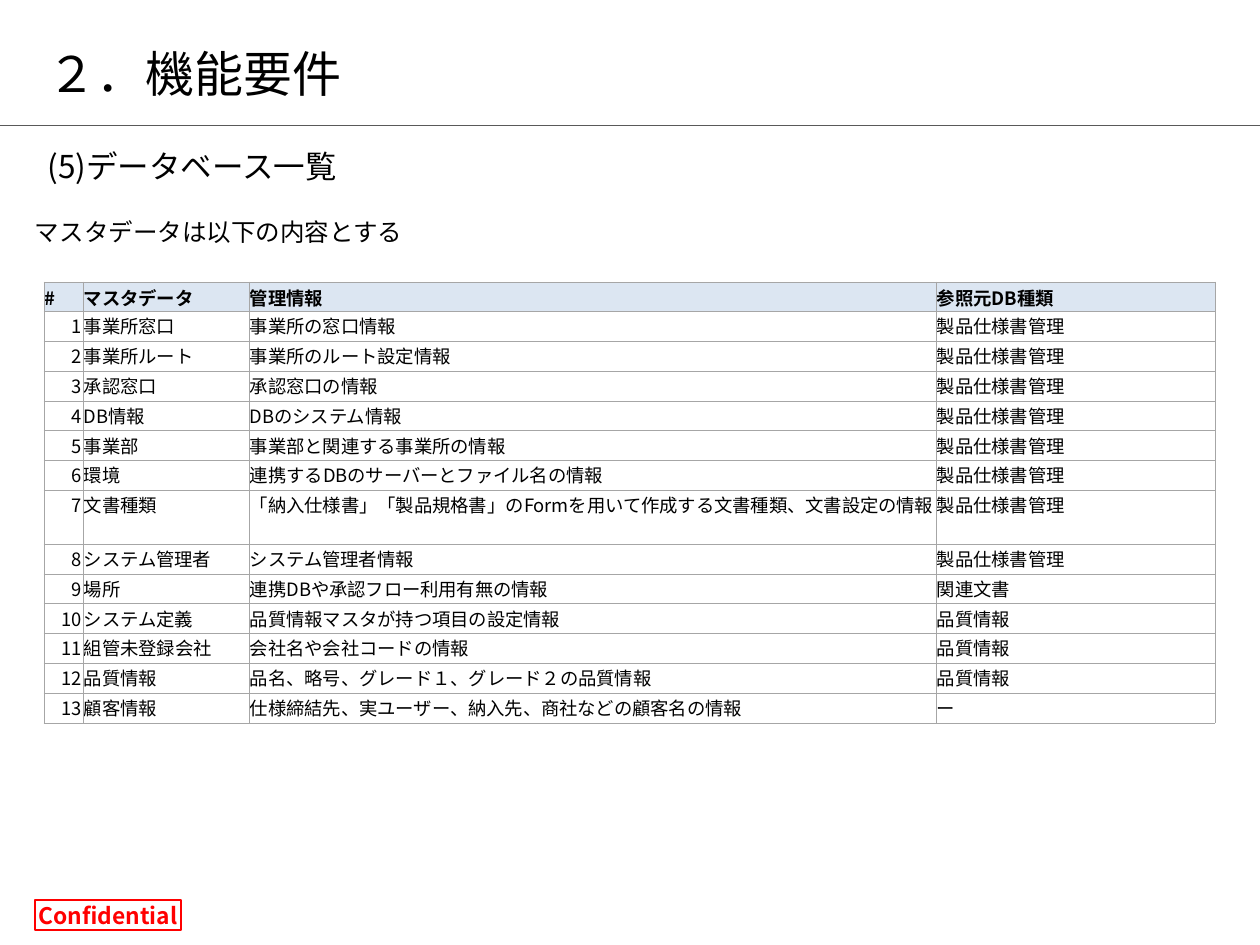
"""Build the database list slide."""
from lxml.etree import SubElement
from pptx import Presentation
from pptx.dml.color import RGBColor
from pptx.enum.shapes import MSO_CONNECTOR, MSO_SHAPE
from pptx.enum.text import MSO_ANCHOR as ANCHOR, PP_ALIGN as ALIGN
from pptx.oxml.ns import qn
from pptx.util import Pt

PX = 914400 // 126
FONT = "Noto Sans CJK JP"
BLACK = RGBColor(0x00, 0x00, 0x00)
RED = RGBColor(0xFF, 0x00, 0x00)
DARK = RGBColor(0x59, 0x59, 0x59)
PALE = RGBColor(0xDC, 0xE6, 0xF2)
GREY = RGBColor(0xA6, 0xA6, 0xA6)

TITLE = "２．機能要件"
SUBTITLE = "(5)データベース一覧"
LEAD = "マスタデータは以下の内容とする"
SPEC_DB, QUALITY = "製品仕様書管理", "品質情報"
HEADER = ("#", "マスタデータ", "管理情報", "参照元DB種類")
MASTERS = [
    ("事業所窓口", "事業所の窓口情報", SPEC_DB),
    ("事業所ルート", "事業所のルート設定情報", SPEC_DB),
    ("承認窓口", "承認窓口の情報", SPEC_DB),
    ("DB情報", "DBのシステム情報", SPEC_DB),
    ("事業部", "事業部と関連する事業所の情報", SPEC_DB),
    ("環境", "連携するDBのサーバーとファイル名の情報", SPEC_DB),
    ("文書種類", "「納入仕様書」「製品規格書」のFormを用いて作成する文書種類、文書設定の情報", SPEC_DB),
    ("システム管理者", "システム管理者情報", SPEC_DB),
    ("場所", "連携DBや承認フロー利用有無の情報", "関連文書"),
    ("システム定義", "品質情報マスタが持つ項目の設定情報", QUALITY),
    ("組管未登録会社", "会社名や会社コードの情報", QUALITY),
    (QUALITY, "品名、略号、グレード１、グレード２の品質情報", QUALITY),
    ("顧客情報", "仕様締結先、実ユーザー、納入先、商社などの顧客名の情報", "ー"),
]
COLUMNS = (39, 166, 687, 279)
WRAPPED_ROW, WRAPPED_HEIGHT = 7, 54
SINGLE_ROWS_HEIGHT = 387


def box(*px):
    return [v * PX for v in px]


def write(tf, text, size, color=BLACK, bold=False, align=ALIGN.LEFT, spacing=None):
    p = tf.paragraphs[0]
    p.alignment = align
    p.line_spacing = spacing
    r = p.add_run()
    r.text = text
    r.font.size, r.font.bold, r.font.name = Pt(size), bold, FONT
    r.font.color.rgb = color
    SubElement(r.font._element, qn("a:ea"), typeface=FONT)


def set_insets(target, left, top, right, bottom):
    target.margin_left, target.margin_top = left * PX, top * PX
    target.margin_right, target.margin_bottom = right * PX, bottom * PX


def add_text(s, place, text, size, anchor=ANCHOR.TOP, inset=None, **fmt):
    tf = s.shapes.add_textbox(*box(*place)).text_frame
    tf.word_wrap, tf.vertical_anchor = True, anchor
    if inset is not None:
        set_insets(tf, *[inset] * 4)
    write(tf, text, size, **fmt)


def add_borders(cell):
    tcPr = cell._tc.get_or_add_tcPr()
    for i, side in enumerate(("lnL", "lnR", "lnT", "lnB")):
        ln = tcPr.makeelement(qn(f"a:{side}"), {"w": str(Pt(0.5))})
        fill = SubElement(ln, qn("a:solidFill"))
        SubElement(fill, qn("a:srgbClr"), val=str(GREY))
        tcPr.insert(i, ln)


def add_master_table(s):
    rows = [HEADER] + [(str(n), *row) for n, row in enumerate(MASTERS, 1)]
    place = box(44, 282, sum(COLUMNS), SINGLE_ROWS_HEIGHT + WRAPPED_HEIGHT)
    table = s.shapes.add_table(len(rows), len(COLUMNS), *place).table
    single = SINGLE_ROWS_HEIGHT * PX // (len(rows) - 1)
    for column, width in zip(table.columns, COLUMNS):
        column.width = width * PX
    for i, row in enumerate(rows):
        table.rows[i].height = WRAPPED_HEIGHT * PX if i == WRAPPED_ROW else single
        for j, text in enumerate(row):
            cell = table.cell(i, j)
            set_insets(cell, 1, 1, 1, 0)
            if i == 0:
                cell.fill.solid()
                cell.fill.fore_color.rgb = PALE
                cell.vertical_anchor = ANCHOR.MIDDLE
            else:
                cell.fill.background()
            add_borders(cell)
            align = ALIGN.RIGHT if i and j == 0 else ALIGN.LEFT
            write(cell.text_frame, text, 10.5, bold=i == 0, align=align)


def add_rule(s):
    rule = s.shapes.add_connector(MSO_CONNECTOR.STRAIGHT, *box(0, 125, 1260, 125))
    rule.line.color.rgb, rule.line.width = DARK, Pt(0.5)
    SubElement(rule._element.spPr, qn("a:effectLst"))


def add_stamp(s):
    sp = s.shapes.add_shape(MSO_SHAPE.RECTANGLE, *box(35, 900, 146, 30))
    sp.shadow.inherit = False
    sp.fill.background()
    sp.line.color.rgb, sp.line.width = RED, Pt(0.75)
    tf = sp.text_frame
    tf.word_wrap, tf.vertical_anchor = False, ANCHOR.MIDDLE
    set_insets(tf, 5, 5, 5, 5)
    write(tf, "Confidential", 13, color=RED, bold=True, align=ALIGN.CENTER)


def main():
    prs = Presentation()
    prs.slide_width, prs.slide_height = box(1260, 945)
    s = prs.slides.add_slide(prs.slide_layouts[6])
    add_rule(s)
    add_stamp(s)
    add_text(s, (35, 37, 955, 72), TITLE, 28, anchor=ANCHOR.MIDDLE)
    add_master_table(s)
    add_text(s, (35, 145, 1191, 50), SUBTITLE, 18, spacing=0.9)
    add_text(s, (35, 217, 1186, 84), LEAD, 14, inset=0)
    prs.save("out.pptx")


if __name__ == "__main__":
    main()
